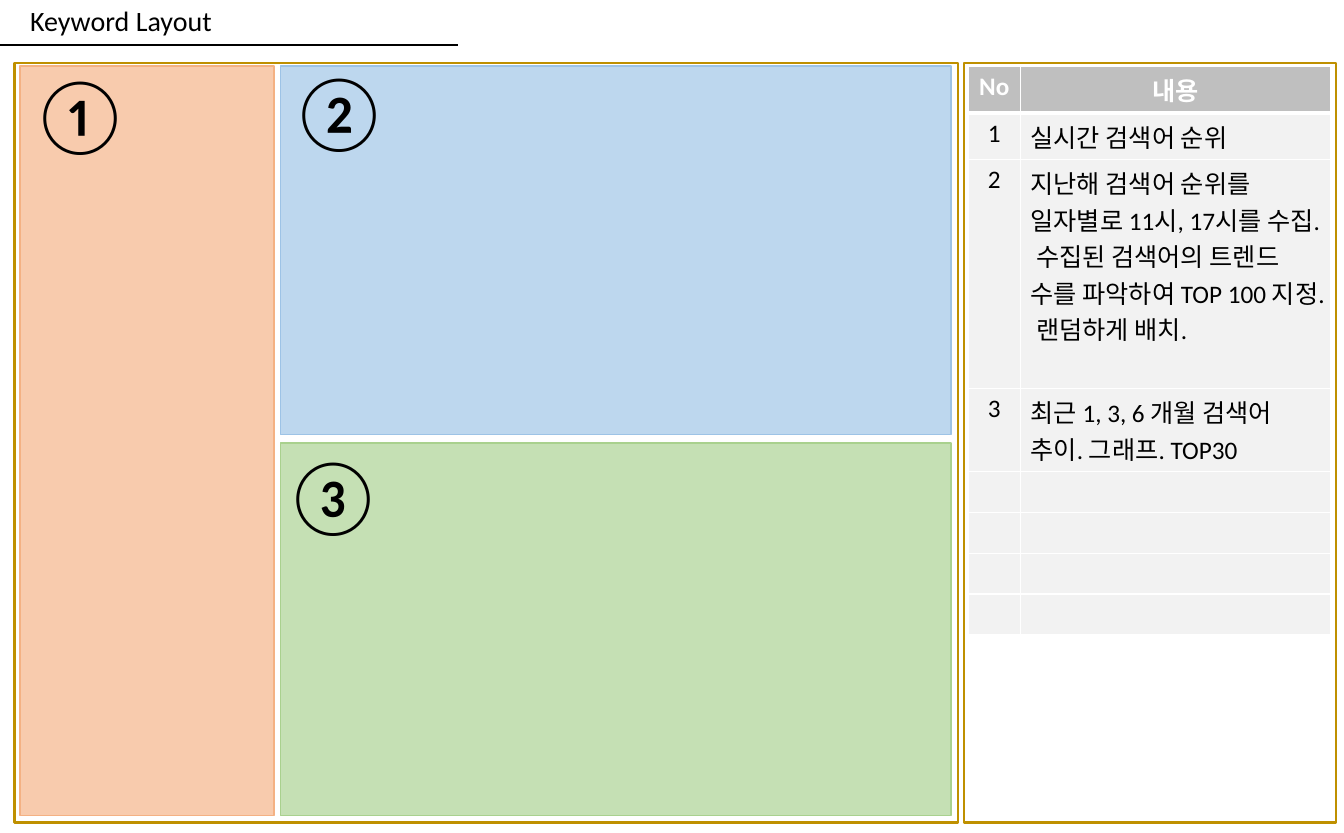
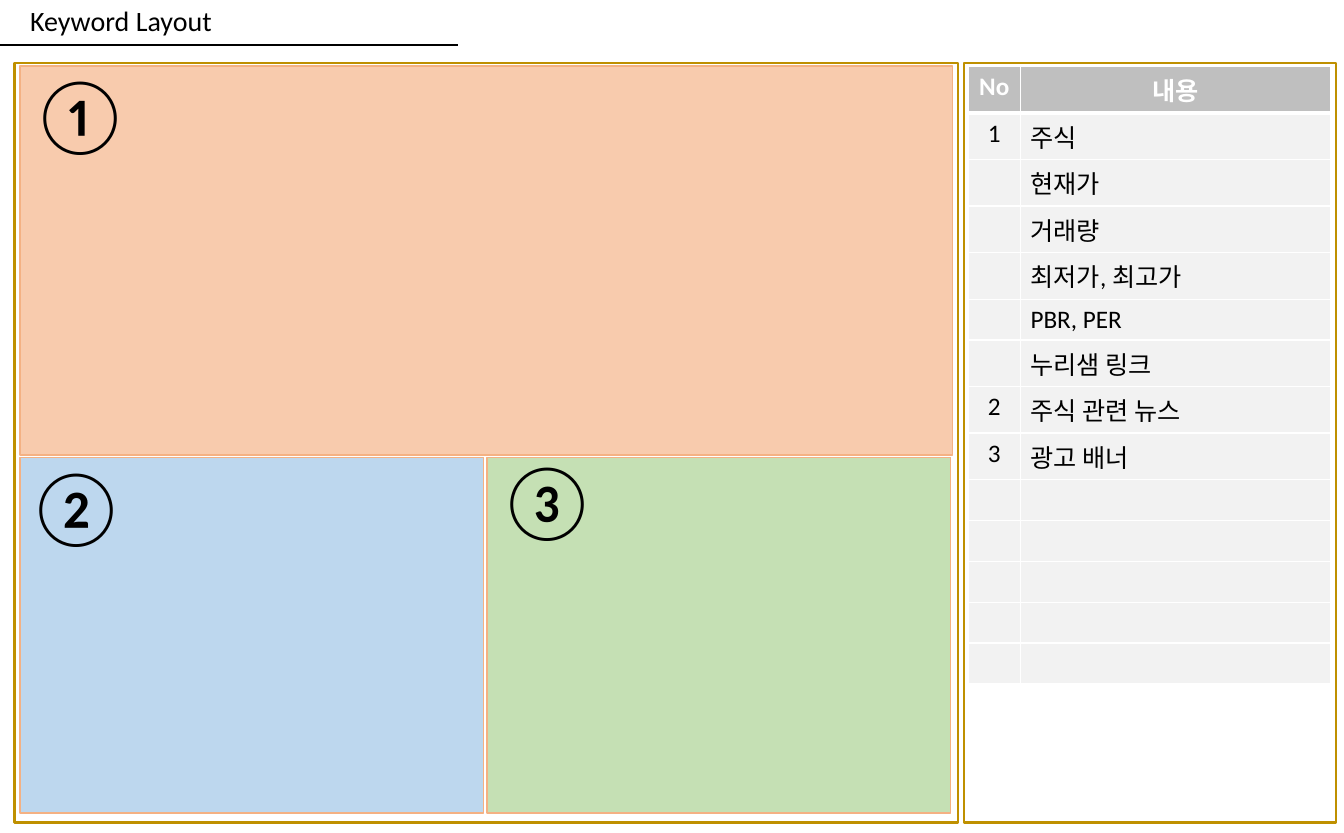
"""Builds two keyword layout slides, each with numbered areas and a legend table."""
from lxml import etree
from pptx import Presentation
from pptx import util as u
from pptx.dml.color import RGBColor
from pptx.enum import shapes, text
from pptx.oxml import ns

BLACK = RGBColor(0, 0, 0)
WHITE = RGBColor(255, 255, 255)
GOLD = RGBColor(0xBF, 0x90, 0x00)
HEAD_GRAY = RGBColor(0xBF, 0xBF, 0xBF)
CELL_GRAY = RGBColor(0xF2, 0xF2, 0xF2)
PEACH = RGBColor(0xF8, 0xCB, 0xAD)
PEACH_EDGE = RGBColor(0xF4, 0xB1, 0x83)
SKY = RGBColor(0xBD, 0xD7, 0xEE)
SKY_EDGE = RGBColor(0x9D, 0xC3, 0xE6)
LEAF = RGBColor(0xC5, 0xE0, 0xB4)
LEAF_EDGE = RGBColor(0xA9, 0xD1, 0x8E)

SLIDE_SIZE = (960, 595.25)
TITLE = "Keyword Layout"
MARKS = "①②③"
FRAMES = [(10.4, 44.9, 673.9, 542.9), (688.6, 44.9, 265.7, 542.9)]
TABLE_LEFT, TABLE_TOP = 691.5, 47.5
COLUMNS = (37.4, 221.8)
EMPTY_HEIGHT = 29.2
HANGUL_PADDING, HANGUL_LINE = 7.2, 26.06
MARK_SIZE = (69.1, 72.7)

HEADER = ("No", "내용", 1)
EMPTY = ("", "", 0)

PAGES = [
    {
        "rows": [
            ("1", "실시간 검색어 순위", 1),
            ("2", "지난해 검색어 순위를 일자별로 11시, 17시를 수집.\n"
                  " 수집된 검색어의 트렌드 수를 파악하여 TOP 100 지정. 랜덤하게 배치.", 6),
            ("3", "최근 1, 3, 6 개월 검색어 추이. 그래프. TOP30", 2),
        ],
        "empty_rows": 4,
        "areas": [
            ((14.4, 47.2, 181.4, 535.7), PEACH, PEACH_EDGE),
            ((200.2, 47.2, 479.2, 263.5), SKY, SKY_EDGE),
            ((200.2, 316.5, 479.2, 266.4), LEAF, LEAF_EDGE),
        ],
        "marks": [(14.4, 44.6), (199.4, 42.2), (195.8, 316.5)],
    },
    {
        "rows": [
            ("1", "주식", 1),
            ("", "현재가", 1),
            ("", "거래량", 1),
            ("", "최저가, 최고가", 1),
            ("", "PBR, PER", 0),
            ("", "누리샘 링크", 1),
            ("2", "주식 관련 뉴스", 1),
            ("3", "광고 배너", 1),
        ],
        "empty_rows": 5,
        "areas": [
            ((14.4, 47.2, 666, 277.9), PEACH, PEACH_EDGE),
            ((14.4, 326.9, 331.2, 254.2), SKY, PEACH_EDGE),
            ((348, 326.9, 331.2, 254.2), LEAF, PEACH_EDGE),
        ],
        "marks": [(14.4, 44.6), (11.8, 324.7), (348, 320.4)],
    },
]


def points(values):
    return [u.Pt(value) for value in values]


def write(frame, content, color, align=None, **formats):
    frame.text = content
    for para in frame.paragraphs:
        para.alignment = align
        for span in para.runs:
            span.font.color.rgb = color
            for name, value in {"name": "Calibri", **formats}.items():
                setattr(span.font, name, value)


def add_text(page, place, content, size, align=None, **settings):
    box = page.shapes.add_textbox(*points(place))
    write(box.text_frame, content, BLACK, align, size=u.Pt(size))
    for name, value in settings.items():
        setattr(box.text_frame, name, value)
    return box


def add_area(page, place, edge, width, fill=None):
    area = page.shapes.add_shape(shapes.MSO_SHAPE.RECTANGLE, *points(place))
    area.shadow.inherit = False
    if fill is None:
        area.fill.background()
    else:
        area.fill.solid()
        area.fill.fore_color.rgb = fill
    area.line.color.rgb = edge
    area.line.width = u.Pt(width)


def add_title(page):
    box = add_text(page, (14.4, 0, 259.9, 32.4), TITLE, 20, word_wrap=True,
                   vertical_anchor=text.MSO_ANCHOR.MIDDLE)
    box.text_frame.paragraphs[0].line_spacing = 0.9


def add_rule(page):
    rule = page.shapes.add_connector(shapes.MSO_CONNECTOR.STRAIGHT,
                                     *points((0, 32.4, 326.9, 32.4)))
    rule.line.color.rgb = BLACK
    rule.line.width = u.Pt(1.5)
    etree.SubElement(rule.element.spPr, ns.qn("a:effectLst"))


def set_borders(cell, widths):
    properties = cell._tc.get_or_add_tcPr()
    for side, width in widths.items():
        line = etree.SubElement(properties, ns.qn("a:ln" + side), w=str(u.Pt(width)))
        fill = etree.SubElement(line, ns.qn("a:solidFill"))
        etree.SubElement(fill, ns.qn("a:srgbClr"), val=str(WHITE))


def row_height(hangul_lines):
    if hangul_lines == 0:
        return EMPTY_HEIGHT
    return HANGUL_PADDING + HANGUL_LINE * hangul_lines


def add_legend(page, rows, empty_rows):
    entries = [HEADER, *rows, *[EMPTY] * empty_rows]
    heights = [row_height(hangul_lines) for _, _, hangul_lines in entries]
    place = (TABLE_LEFT, TABLE_TOP, sum(COLUMNS), sum(heights))
    table = page.shapes.add_table(len(entries), len(COLUMNS), *points(place)).table
    table.first_row = table.horz_banding = False
    for column, width in zip(table.columns, COLUMNS):
        column.width = u.Pt(width)
    for row, (number, content, _) in enumerate(entries):
        table.rows[row].height = u.Pt(heights[row])
        head = row == 0
        for column, words in enumerate((number, content)):
            cell = table.cell(row, column)
            set_borders(cell, {"L": 1, "R": 1, "T": 3 if row == 1 else 1, "B": 3 if head else 1})
            cell.fill.solid()
            cell.fill.fore_color.rgb = HEAD_GRAY if head else CELL_GRAY
            centred = head or column == 0
            write(cell.text_frame, words, WHITE if head else BLACK,
                  text.PP_ALIGN.CENTER if centred else None, size=u.Pt(18), bold=head)


deck = Presentation()
deck.slide_width, deck.slide_height = points(SLIDE_SIZE)
for layout in PAGES:
    page = deck.slides.add_slide(deck.slide_layouts[6])
    add_title(page)
    for place in FRAMES:
        add_area(page, place, GOLD, 1.5)
    add_legend(page, layout["rows"], layout["empty_rows"])
    add_rule(page)
    for place, fill, edge in layout["areas"]:
        add_area(page, place, edge, 1, fill)
    for mark, corner in zip(MARKS, layout["marks"]):
        add_text(page, corner + MARK_SIZE, mark, 54, text.PP_ALIGN.CENTER,
                 word_wrap=False, auto_size=text.MSO_AUTO_SIZE.SHAPE_TO_FIT_TEXT)
deck.save("out.pptx")
